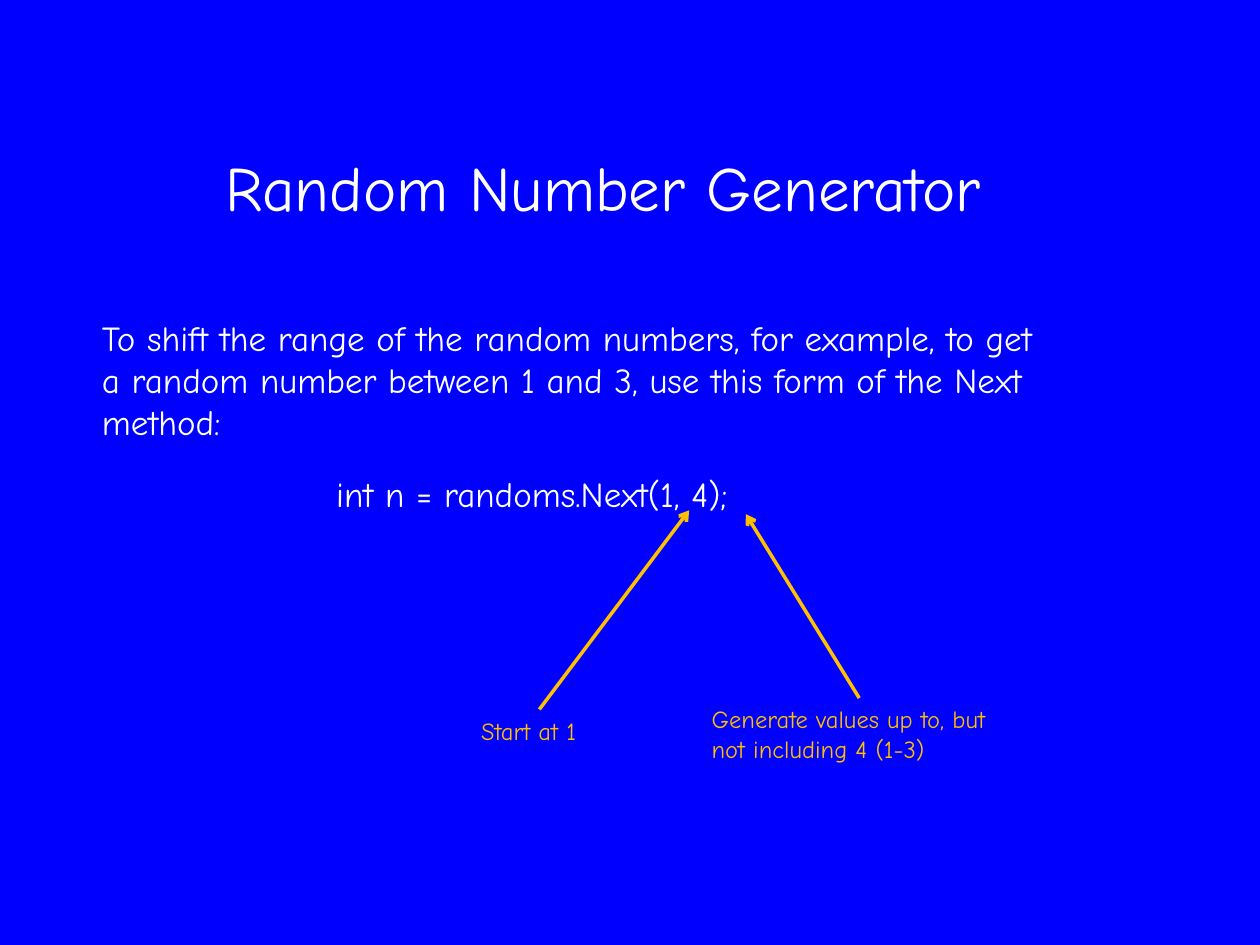
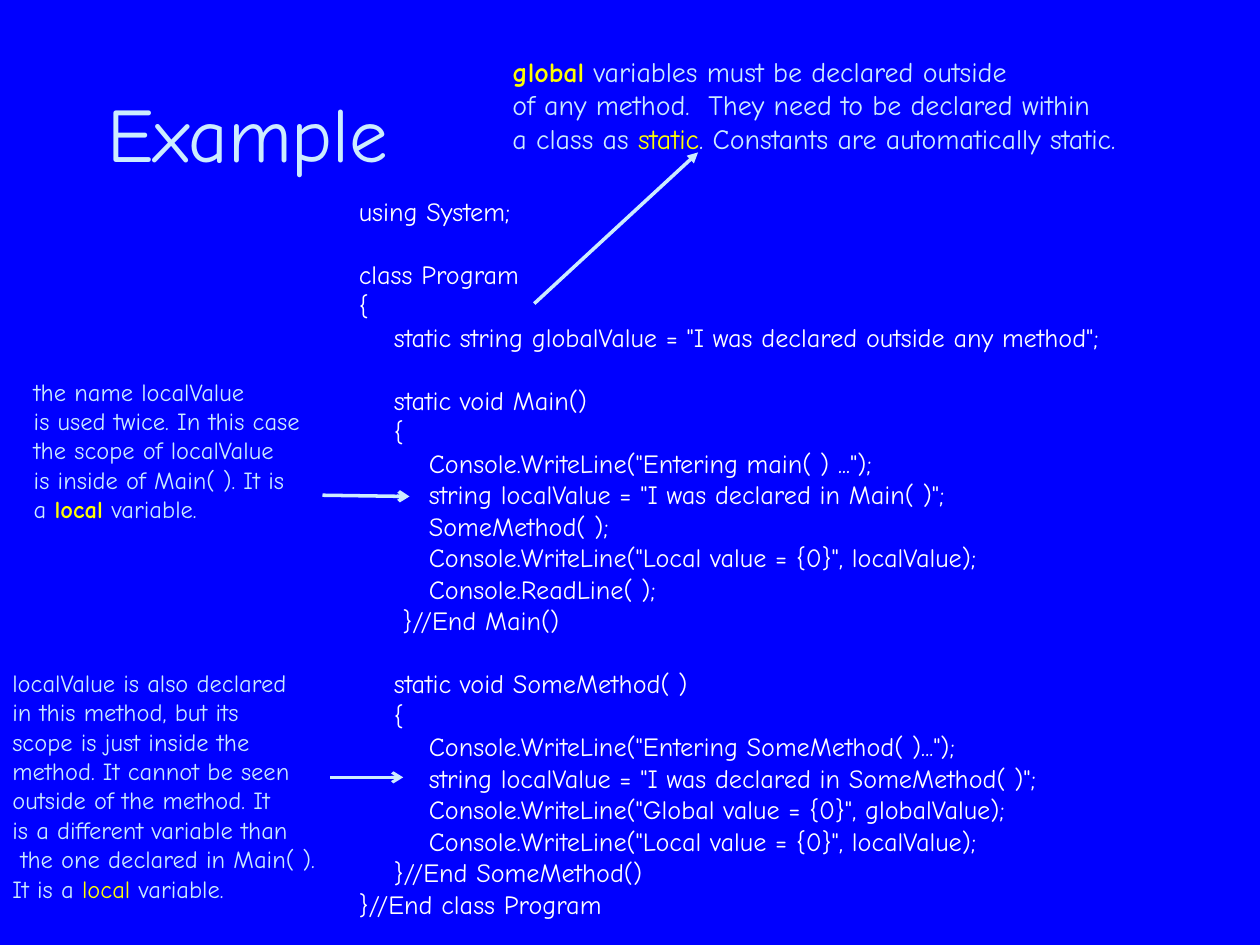
from dataclasses import dataclass
from lxml.etree import SubElement
from pptx import Presentation
from pptx.dml.color import RGBColor as RGB
from pptx.enum.shapes import MSO_CONNECTOR as Connector
from pptx.enum.text import MSO_ANCHOR as Anchor, MSO_AUTO_SIZE as AutoSize, PP_ALIGN as Align
from pptx.oxml.ns import qn
from pptx.util import Pt


@dataclass(frozen=True)
class Theme:
    font: str = "Comic Neue"
    background: RGB = RGB(0, 0, 255)
    white: RGB = RGB(255, 255, 255)
    pale: RGB = RGB(0xCC, 0xEC, 0xFF)
    amber: RGB = RGB(0xFF, 0xC0, 0)
    yellow: RGB = RGB(255, 255, 0)
    title: int = 36
    big_title: int = 44
    body: int = 20
    remark: int = 16
    code: int = 15
    note: int = 14
    line_height: float = 1.2
    indent: int = 20
    stroke: float = 2


@dataclass(frozen=True)
class Key:
    """A highlighted word."""
    text: str
    bold: bool = False


class Deck:
    def __init__(self, theme):
        self.theme = theme
        self.prs = Presentation()
        self.prs.slide_width, self.prs.slide_height = Pt(720), Pt(540)
        fill = self.prs.slide_master.background.fill
        fill.solid()
        fill.fore_color.rgb = theme.background
        self.slide = None

    def style(self, paragraph, size, color):
        paragraph.alignment = Align.LEFT
        font = paragraph.font
        font.name, font.size = self.theme.font, Pt(size)
        font.color.rgb = color

    def new_slide(self, text, box, size, color):
        self.slide = self.prs.slides.add_slide(self.prs.slide_layouts[5])
        title = self.slide.shapes.title
        title.left, title.top, title.width, title.height = map(Pt, box)
        frame = title.text_frame
        frame.text = text
        frame.auto_size = AutoSize.NONE
        frame.vertical_anchor = Anchor.MIDDLE
        self.style(frame.paragraphs[0], size, color)

    def frame(self, box, wrap=False):
        frame = self.slide.shapes.add_textbox(*map(Pt, box)).text_frame
        frame.word_wrap = wrap
        frame.auto_size = AutoSize.SHAPE_TO_FIT_TEXT
        return frame

    def line(self, frame, number, parts, size, color):
        paragraph = frame.add_paragraph() if number else frame.paragraphs[0]
        self.style(paragraph, size, color)
        for part in parts:
            run = paragraph.add_run()
            if isinstance(part, Key):
                run.text = part.text
                run.font.color.rgb = self.theme.yellow
                run.font.bold = part.bold
            else:
                run.text = part
        return paragraph

    def text(self, box, lines, size, color, wrap=False):
        frame = self.frame(box, wrap)
        for number, line in enumerate(lines):
            parts = [line] if isinstance(line, str) else line
            self.line(frame, number, parts, size, color)

    def code(self, box, blocks):
        """Blocks of (indent level, text), one empty line apart."""
        theme = self.theme
        frame = self.frame(box)
        number = 0
        for block in blocks:
            for row, (level, text) in enumerate(block):
                paragraph = self.line(frame, number, [text], theme.code, theme.white)
                properties = paragraph._p.get_or_add_pPr()
                properties.set("marL", str(Pt(level * theme.indent)))
                properties.set("indent", "0")
                if number and row == 0:
                    paragraph.space_before = Pt(theme.code * theme.line_height)
                number += 1

    def arrow(self, start, end, color, head="arrow", width=None):
        arrow = self.slide.shapes.add_connector(
            Connector.STRAIGHT, *map(Pt, (*start, *end)))
        arrow.line.color.rgb = color
        arrow.line.width = Pt(width or self.theme.stroke)
        properties = arrow._element.spPr
        SubElement(properties.find(qn("a:ln")), qn("a:tailEnd"), type=head)
        SubElement(properties, qn("a:effectLst"))


theme = Theme()
deck = Deck(theme)

# Slide 1: shifting the range
deck.new_slide("Random Number Generator", (121.7, 61.2, 506.9, 90), theme.title, theme.white)
deck.text((51.1, 177.1, 607.7, 79.9), [
    "To shift the range of the random numbers, for example, to get",
    "a random number between 1 and 3, use this form of the Next",
    "method:",
], theme.body, theme.white)
deck.text((185, 266.4, 270.7, 31.7), ["int n = randoms.Next(1, 4);"], theme.body, theme.white)

# What the two arguments mean
deck.text((267.8, 405.4, 80.6, 24.5), ["Start at 1"], theme.note, theme.amber)
deck.arrow((308.2, 405.4), (393.8, 291.6), theme.amber)
deck.text((399.6, 398.9, 182.2, 41),
          ["Generate values up to, but not including 4 (1-3)"],
          theme.note, theme.amber, wrap=True)
deck.arrow((491, 398.9), (426.2, 293.8), theme.amber)

# Slide 2: global and local variables
deck.new_slide("Example", (54, 30.2, 210.2, 90), theme.big_title, theme.pale)
deck.code((198, 108, 484.6, 425.5), [
    [(0, "using System;")],
    [(0, "class Program"),
     (0, "{"),
     (1, 'static string globalValue = "I was declared outside any method";')],
    [(1, "static void Main()"),
     (1, "{"),
     (2, 'Console.WriteLine("Entering main( ) ...");'),
     (2, 'string localValue = "I was declared in Main( )";'),
     (2, "SomeMethod( );"),
     (2, 'Console.WriteLine("Local value = {0}", localValue);'),
     (2, "Console.ReadLine( );"),
     (1.25, "}//End Main()")],
    [(1, "static void SomeMethod( )"),
     (1, "{"),
     (2, 'Console.WriteLine("Entering SomeMethod( )...");'),
     (2, 'string localValue = "I was declared in SomeMethod( )";'),
     (2, 'Console.WriteLine("Global value = {0}", globalValue);'),
     (2, 'Console.WriteLine("Local value = {0}", localValue);'),
     (1, "}//End SomeMethod()"),
     (0, "}//End class Program")],
])

# Remark on the global variable
deck.text((285.8, 27.4, 408.2, 65.5), [
    (Key("global", bold=True), " variables must be declared outside"),
    "of any method.  They need to be declared within",
    ("a class as ", Key("static"), ". Constants are automatically static."),
], theme.remark, theme.pale)
deck.arrow((305.3, 173.5), (398.9, 87.1), theme.pale, head="triangle")

# Notes on the two local variables
deck.text((12.2, 211.7, 185.8, 92.2), [
    "the name localValue",
    "is used twice. In this case",
    "the scope of localValue",
    "is inside of Main( ). It is",
    ("a ", Key("local ", bold=True), "variable."),
], theme.note, theme.pale)
deck.text((0, 378, 198.7, 143.3), [
    "localValue is also declared",
    "in this method, but its",
    "scope is just inside the",
    "method. It cannot be seen",
    "outside of the method. It",
    "is a different variable than",
    " the one declared in Main( ).",
    ("It is a ", Key("local"), " variable."),
], theme.note, theme.pale)
deck.arrow((184.3, 283), (234, 283.7), theme.pale)
deck.arrow((188.6, 444.2), (230.4, 444.2), theme.pale, width=1.75)

deck.prs.save("out.pptx")
